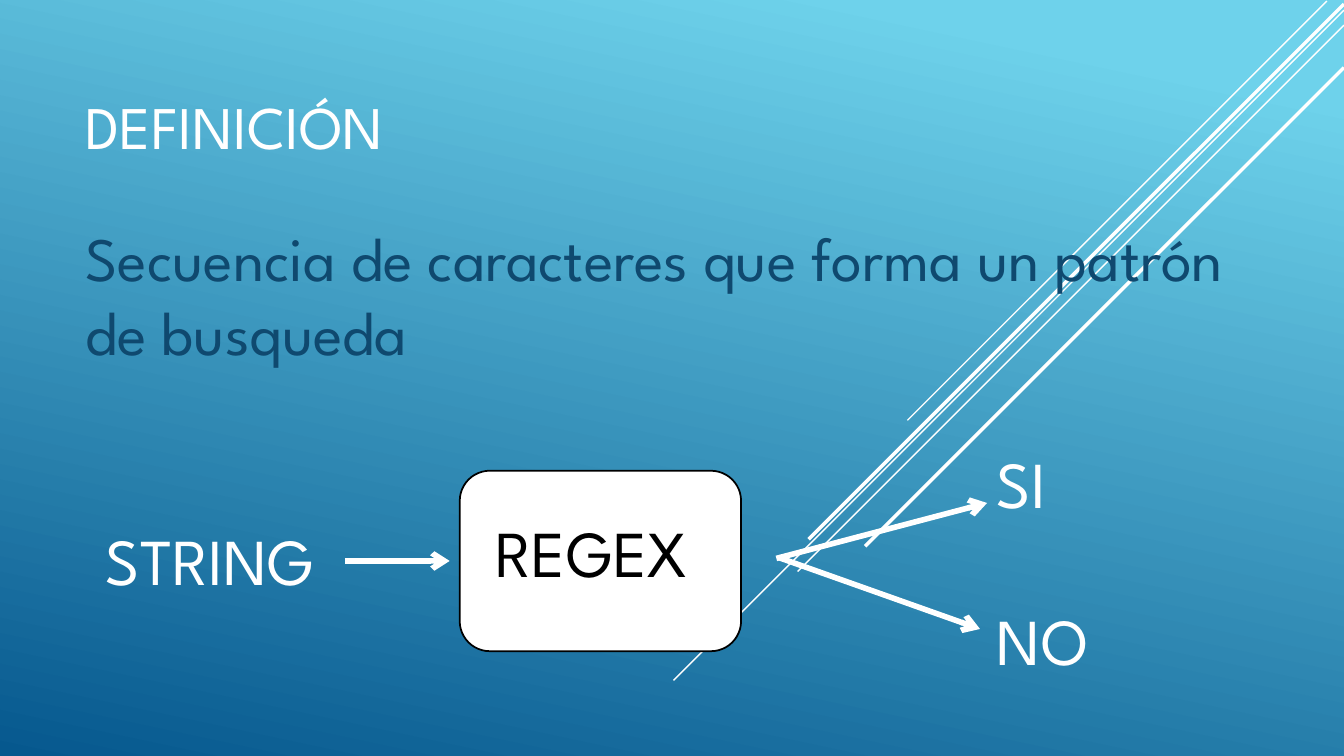
from dataclasses import dataclass

from lxml.etree import SubElement
from pptx import Presentation
from pptx.dml.color import RGBColor
from pptx.enum.shapes import MSO_CONNECTOR, MSO_SHAPE
from pptx.enum.text import MSO_ANCHOR
from pptx.oxml.ns import qn
from pptx.util import Inches, Pt


@dataclass(frozen=True)
class Theme:
    font: str = "League Spartan"
    white: str = "FFFFFF"
    black: str = "000000"
    navy: str = "0F496F"
    sky: str = "6ED2EB"
    deep: str = "06588E"
    title: float = 43.2
    body: float = 44
    label: float = 46.8
    thin: float = 1
    edge: float = 1.25
    bold: float = 2.5
    arrow: float = 4


theme = Theme()
WIDE, HIGH = 13.33, 7.5
MARGIN = 0.75

# Diagonal rays: start x, start y, reach down and left, width
RAYS = [
    (13.16, 0.01, 4.16, theme.thin),
    (WIDE, 0.1, 6.65, theme.thin),
    (WIDE, 0.25, 5.42, theme.thin),
    (WIDE, 0.04, 5.31, theme.bold),
    (WIDE, 0.67, 4.75, theme.bold),
]

TITLE = "DEFINICIÓN"
BODY = "Secuencia de caracteres que forma un patrón de busqueda"

BOX = (4.56, 4.67, 2.79, 1.79)
MID = BOX[1] + BOX[3] / 2

# Labels: text, (left, top, width, height), colour
LABELS = [
    ("STRING", (0.95, 5.15, 2.76, 0.84), theme.white),
    ("SI", (9.79, 4.36, 2.84, 0.86), theme.white),
    ("NO", (9.79, 5.92, 2.84, 0.86), theme.white),
    ("REGEX", (4.82, 5.09, 3.02, 0.82), theme.black),
]

ARROWS = [
    ((3.42, MID), (4.46, MID)),
    ((7.7, 5.54), (9.79, 4.99)),
    ((7.72, 5.53), (9.72, 6.24)),
]


def rgb(code):
    return RGBColor.from_string(code)


def add_line(slide, start, end, width):
    line = slide.shapes.add_connector(
        MSO_CONNECTOR.STRAIGHT, *map(Inches, start + end))
    line.line.color.rgb = rgb(theme.white)
    line.line.width = Pt(width)
    SubElement(line._element.spPr, qn("a:effectLst"))
    return line


def add_arrow(slide, start, end):
    line = add_line(slide, start, end, theme.arrow)
    SubElement(line.line._get_or_add_ln(), qn("a:tailEnd"), type="arrow")


def add_text(slide, text, place, size, color, anchor=MSO_ANCHOR.BOTTOM):
    frame = slide.shapes.add_textbox(*map(Inches, place)).text_frame
    frame.word_wrap = True
    frame.vertical_anchor = anchor
    para = frame.paragraphs[0]
    para.text = text
    para.font.name = theme.font
    para.font.size = Pt(size)
    para.font.color.rgb = rgb(color)
    return para


def add_box(slide):
    box = slide.shapes.add_shape(
        MSO_SHAPE.ROUNDED_RECTANGLE, *map(Inches, BOX))
    box.shadow.inherit = False
    box.fill.solid()
    box.fill.fore_color.rgb = rgb(theme.white)
    box.line.color.rgb = rgb(theme.black)
    box.line.width = Pt(theme.edge)


def paint_back(slide):
    fill = slide.background.fill
    fill.gradient()
    fill.gradient_angle = 360 - 102
    stops = [(0.1, theme.sky), (1, theme.deep)]
    for stop, (share, color) in zip(fill.gradient_stops, stops):
        stop.position = share
        stop.color.rgb = rgb(color)


def main():
    deck = Presentation()
    deck.slide_width, deck.slide_height = Inches(WIDE), Inches(HIGH)
    slide = deck.slides.add_slide(deck.slide_layouts[6])
    paint_back(slide)
    for x, y, reach, width in RAYS:
        add_line(slide, (x, y), (x - reach, y + reach), width)
    add_text(slide, TITLE, (MARGIN, MARGIN, 8.75, 0.9),
             theme.title, theme.white)
    body = add_text(slide, BODY, (MARGIN, 2.13, 11.62, 4.58),
                    theme.body, theme.navy, MSO_ANCHOR.TOP)
    body.space_before = Pt(theme.body * 0.2)
    body.space_after = Pt(6)
    add_box(slide)
    for text, place, color in LABELS:
        add_text(slide, text, place, theme.label, color)
    for start, end in ARROWS:
        add_arrow(slide, start, end)
    deck.save("out.pptx")


if __name__ == "__main__":
    main()
